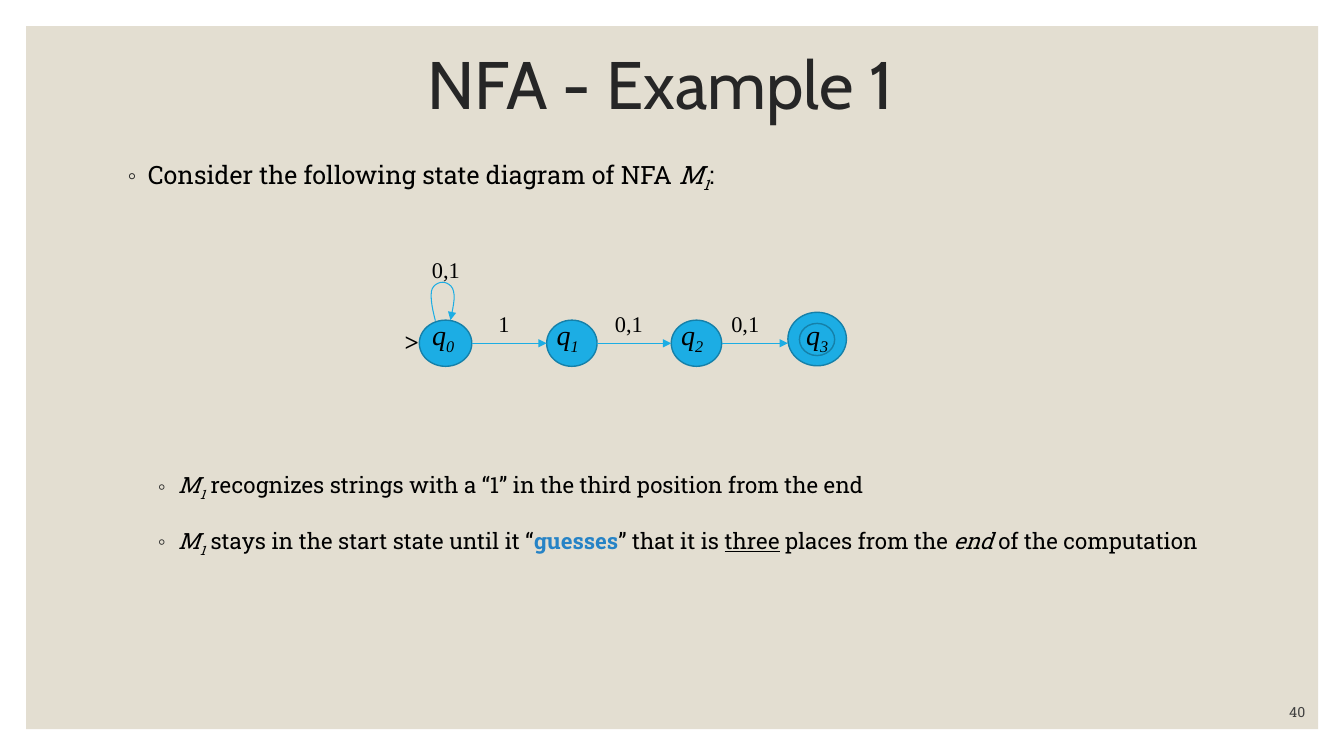
from lxml import etree
from pptx import Presentation
from pptx import util as u
from pptx.dml.color import RGBColor
from pptx.enum import shapes, text
from pptx.oxml.ns import qn

Pt = u.Pt
BLACK, BLUE, OUTLINE, DARK = "000000", "1CADE4", "1580A9", "262626"
SERIF, BODY, HEADING = "Times New Roman", "Roboto Slab", "Cabin"


def color(value):
    return RGBColor.from_string(value)


def curve_points(start, curves, steps=6):
    """Points along a chain of cubic curves."""
    for first, second, end in curves:
        for step in range(1, steps + 1):
            t = step / steps
            weights = ((1 - t) ** 3, 3 * t * (1 - t) ** 2, 3 * t * t * (1 - t), t ** 3)
            yield tuple(sum(w * p[axis] for w, p in zip(weights, (start, first, second, end)))
                        for axis in (0, 1))
        start = end


class Diagram:
    """Draws styled elements on one slide; lengths are in points."""

    def __init__(self, slide):
        self.slide = slide

    def set_font(self, font, name, size, fill=BLACK, bold=False, italic=False):
        font.name, font.size, font.bold, font.italic = name, Pt(size), bold, italic
        font.color.rgb = color(fill)

    def title(self, words, left, top, width, height):
        shape = self.slide.shapes.title
        shape.left, shape.top, shape.width, shape.height = map(Pt, (left, top, width, height))
        shape.text_frame.text = words
        shape.text_frame.vertical_anchor = text.MSO_ANCHOR.MIDDLE
        paragraph = shape.text_frame.paragraphs[0]
        paragraph.alignment = text.PP_ALIGN.LEFT
        paragraph.line_spacing = 0.9
        self.set_font(paragraph.font, HEADING, 48, DARK)

    def box(self, left, top, width, height, wrap=True):
        frame = self.slide.shapes.add_textbox(*map(Pt, (left, top, width, height))).text_frame
        frame.word_wrap = wrap
        return frame

    def runs(self, paragraph, pieces):
        """Each piece is (words, flags): i italic, b bold accent, u underline, s subscript."""
        for words, flags in pieces:
            run = paragraph.add_run()
            run.text = words
            if "i" in flags:
                run.font.italic = True
            if "u" in flags:
                run.font.underline = True
            if "b" in flags:
                run.font.bold = True
                run.font.color.rgb = color("2683C6")
            if "s" in flags:
                run._r.get_or_add_rPr().set("baseline", "-25000")

    def label(self, pieces, left, top, width, height, size, name=SERIF, fill=BLACK,
              bold=False, align=text.PP_ALIGN.LEFT, wrap=True):
        paragraph = self.box(left, top, width, height, wrap).paragraphs[0]
        paragraph.alignment = align
        self.set_font(paragraph.font, name, size, fill, bold)
        self.runs(paragraph, pieces)

    def bullets(self, items, left, top, width, height, size, indent, level=0, gap=18):
        frame = self.box(left, top, width, height)
        for index, pieces in enumerate(items):
            paragraph = frame.add_paragraph() if index else frame.paragraphs[0]
            paragraph.level = level
            if index:
                paragraph.space_before = Pt(gap)
            properties = paragraph._p.get_or_add_pPr()
            properties.set("marL", str(Pt(indent)))
            properties.set("indent", str(-Pt(14.4)))
            tint = etree.SubElement(properties, qn("a:buClr"))
            etree.SubElement(tint, qn("a:srgbClr"), val=DARK)
            etree.SubElement(properties, qn("a:buFont"), typeface=SERIF)
            etree.SubElement(properties, qn("a:buChar"), char="◦")
            self.set_font(paragraph.font, BODY, size)
            self.runs(paragraph, pieces)

    def shape(self, kind, left, top, width, height, fill, outline=None):
        shape = self.slide.shapes.add_shape(kind, *map(Pt, (left, top, width, height)))
        shape.shadow.inherit = False
        shape.fill.solid()
        shape.fill.fore_color.rgb = color(fill)
        if outline:
            shape.line.color.rgb = color(outline)
            shape.line.width = Pt(1)
        else:
            shape.line.fill.background()

    def state(self, left, top, width, height):
        self.shape(shapes.MSO_SHAPE.OVAL, left, top, width, height, BLUE, OUTLINE)

    def arrowhead(self, shape):
        shape.line.color.rgb = color(BLUE)
        shape.line.width = Pt(0.75)
        etree.SubElement(shape.line._get_or_add_ln(), qn("a:tailEnd"), type="triangle")

    def arrow(self, start, end, y):
        connector = self.slide.shapes.add_connector(
            shapes.MSO_CONNECTOR.STRAIGHT, Pt(start), Pt(y), Pt(end), Pt(y))
        self.arrowhead(connector)
        etree.SubElement(connector._element.spPr, qn("a:effectLst"))

    def loop(self, start, curves):
        builder = self.slide.shapes.build_freeform(*map(Pt, start))
        builder.add_line_segments(
            [(Pt(x), Pt(y)) for x, y in curve_points(start, curves)], close=False)
        shape = builder.convert_to_shape()
        shape.shadow.inherit = False
        shape.fill.background()
        self.arrowhead(shape)


def main():
    presentation = Presentation()
    presentation.slide_width, presentation.slide_height = Pt(960), Pt(540)
    slide = presentation.slides.add_slide(presentation.slide_layouts[5])
    diagram = Diagram(slide)

    # Background panel, placed behind the title
    diagram.shape(shapes.MSO_SHAPE.RECTANGLE, 18.6, 18.6, 923, 502.2, "E3DED1")
    title_element = slide.shapes.title._element
    title_element.getparent().append(title_element)

    # Title and statements
    diagram.title("NFA - Example 1", 298.3, 31.7, 359.3, 61.9)
    machine = ("M", "i")
    diagram.bullets([[("Consider the following state diagram of NFA ", ""),
                      machine, ("1", "is"), (":", "")]],
                    84.2, 110.2, 792, 32, 18, 14.4)
    diagram.bullets([
        [machine, ("1", "is"),
         (" recognizes strings with a “1” in the third position from the end", "")],
        [machine, ("1", "is"), (" stays in the start state until it “", ""),
         ("guesses", "b"), ("” that it is ", ""), ("three", "u"),
         (" places from the ", ""), ("end", "i"), (" of the computation", "")],
    ], 84.2, 333.1, 792, 70, 16, 36, level=1)

    # States: left, top, width, height of each ellipse
    states = [(299.5, 228.7, 37.5, 33), (390.5, 228.7, 36, 33),
              (479.5, 228.7, 36, 33), (562.8, 223.1, 41.8, 38.2)]
    for state in states:
        diagram.state(*state)
    diagram.state(571, 231, 25.2, 23)  # accepting state

    # Transitions
    for source, target in zip(states, states[1:]):
        diagram.arrow(source[0] + source[2], target[0], 245.2)
    diagram.loop((311, 229), [
        ((308.9, 221), (307.4, 213.1), (308.2, 208.1)),
        ((308.9, 203.8), (313.2, 201.6), (316.1, 201.6)),
        ((319, 201.6), (323.3, 203.8), (324, 208.1)),
        ((325.4, 213.1), (323.3, 221), (321.8, 228.7))])

    # State names and transition labels
    for index, left in enumerate((301.5, 390.5, 479.5, 568.8)):
        diagram.label([("q", "i"), (str(index), "is")], left, 223.2, 41.8, 31.7, 20)
    for words, left, top in (("0,1", 301.5, 179.3), ("1", 349, 217.8),
                             ("0,1", 432.2, 217.8), ("0,1", 515.3, 217.8)):
        diagram.label([(words, "")], left, top, 47.5, 26.6, 16)
    diagram.label([(">", "")], 282, 229.7, 25.2, 28.8, 18, bold=True, wrap=False)

    # Slide number
    diagram.label([("40", "")], 824.2, 499.2, 115.2, 21.6, 10, BODY, "404040",
                  align=text.PP_ALIGN.RIGHT)

    presentation.save("out.pptx")


if __name__ == "__main__":
    main()
